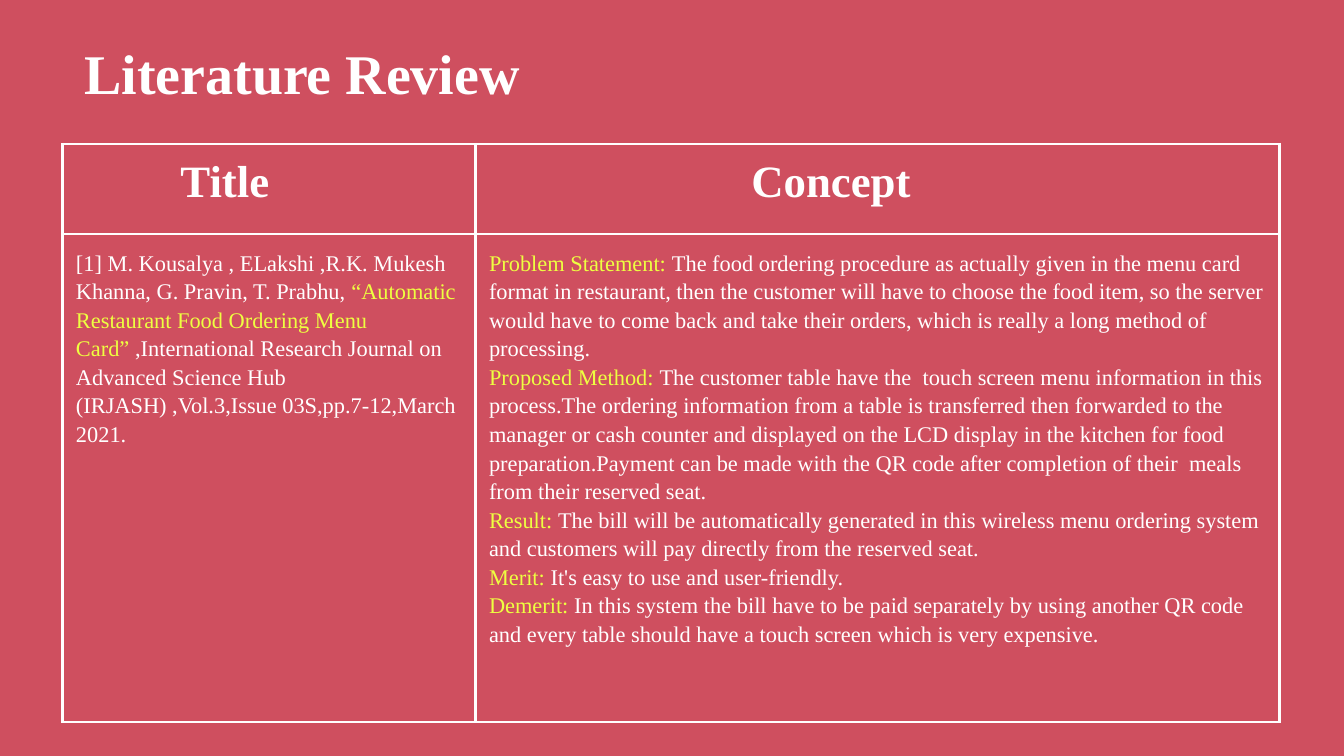
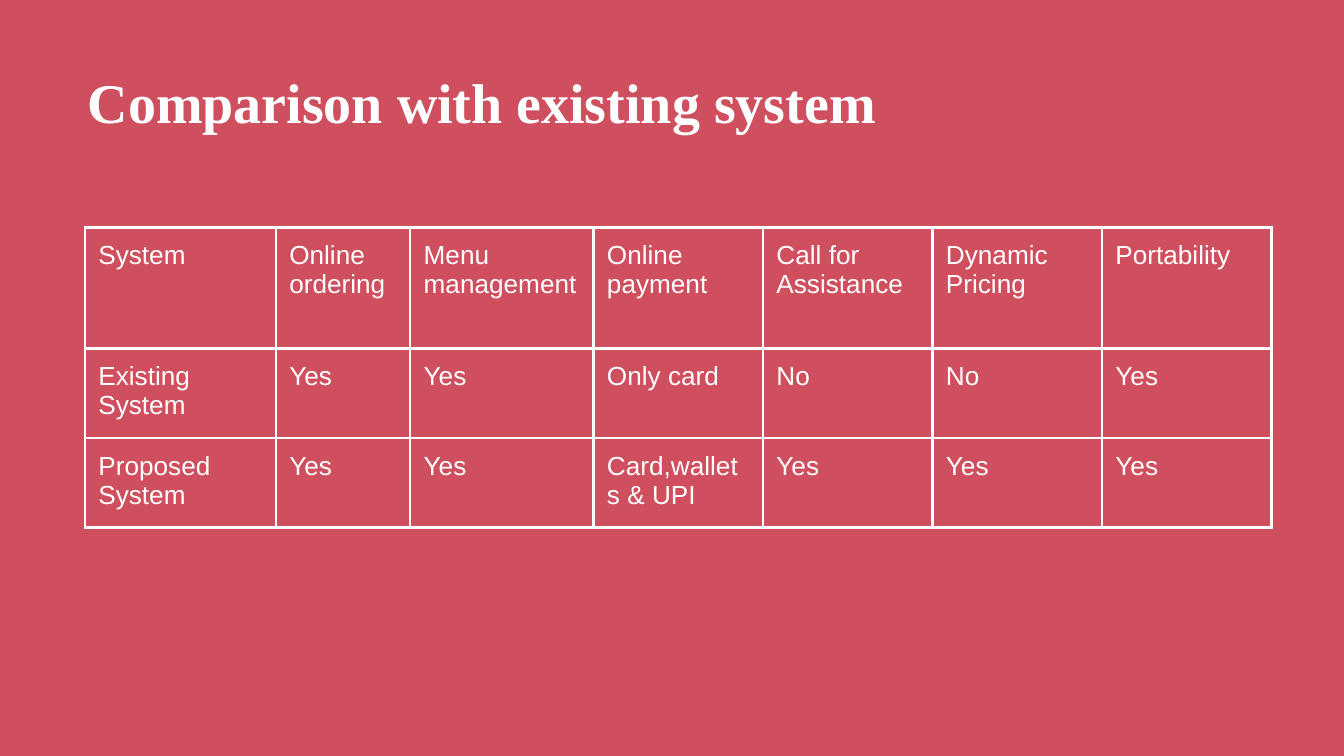
"""Builds the literature review and system comparison slides."""
from lxml.etree import SubElement
from pptx import Presentation
from pptx.dml.color import RGBColor
from pptx.enum.text import MSO_ANCHOR, MSO_AUTO_SIZE, PP_ALIGN
from pptx.oxml.ns import qn
from pptx.util import Pt

ROSE = RGBColor(0xCF, 0x4F, 0x5F)
WHITE = RGBColor(0xFF, 0xFF, 0xFF)
YELLOW = RGBColor(0xEE, 0xFF, 0x41)
SERIF = "Times New Roman"
SANS = "Arial"
PAD = Pt(7.2)


def add_titled_slide(prs, title, left, top, width, height):
    s = prs.slides.add_slide(prs.slide_layouts[5])
    sp = s.shapes.title
    sp.left, sp.top, sp.width, sp.height = Pt(left), Pt(top), Pt(width), Pt(height)
    tf = sp.text_frame
    tf.text = title
    tf.auto_size = MSO_AUTO_SIZE.NONE
    tf.vertical_anchor = MSO_ANCHOR.TOP
    tf.margin_left = tf.margin_right = tf.margin_top = tf.margin_bottom = PAD
    p = tf.paragraphs[0]
    p.alignment = PP_ALIGN.LEFT
    font = p.runs[0].font
    font.name, font.size, font.bold, font.color.rgb = SERIF, Pt(30), True, WHITE
    return s


def add_grid(s, left, top, widths, heights):
    frame = s.shapes.add_table(len(heights), len(widths), Pt(left), Pt(top),
                               Pt(sum(widths)), Pt(sum(heights)))
    table = frame.table
    table.first_row = table.horz_banding = False
    for column, width in zip(table.columns, widths):
        column.width = Pt(width)
    for row, height in zip(table.rows, heights):
        row.height = Pt(height)
    for cell in table.iter_cells():
        cell.margin_left = cell.margin_right = PAD
        cell.margin_top = cell.margin_bottom = PAD
        tcPr = cell._tc.get_or_add_tcPr()
        for side in ("a:lnL", "a:lnR", "a:lnT", "a:lnB"):
            ln = SubElement(tcPr, qn(side), w=str(Pt(1.5)))
            fill = SubElement(ln, qn("a:solidFill"))
            SubElement(fill, qn("a:srgbClr"), val=str(WHITE))
        cell.fill.background()
    return table


prs = Presentation()
prs.slide_width, prs.slide_height = Pt(720), Pt(405)
background = prs.slide_master.background.fill
background.solid()
background.fore_color.rgb = ROSE

s = add_titled_slide(prs, "Literature Review", 38, 13.7, 647, 42.5)
review = add_grid(s, 33.5, 77.2, [221.3, 430.7], [48.2, 261.5])

for column, (heading, indent) in enumerate([("Title", 63.2), ("Concept", 147.7)]):
    cell = review.cell(0, column)
    cell.margin_left = Pt(indent)
    cell.text_frame.text = heading
    font = cell.text_frame.paragraphs[0].runs[0].font
    font.name, font.size, font.bold, font.color.rgb = SERIF, Pt(24), True, WHITE

citation = [[
    ("[1] M. Kousalya , ELakshi ,R.K. Mukesh Khanna, G. Pravin, T. Prabhu, ", WHITE),
    ("“Automatic Restaurant Food Ordering Menu Card” ", YELLOW),
    (",International Research Journal on Advanced Science Hub (IRJASH) "
     ",Vol.3,Issue 03S,pp.7-12,March 2021.", WHITE),
]]
points = {
    "Problem Statement: ":
        "The food ordering procedure as actually given in the menu card format in "
        "restaurant, then the customer will have to choose the food item, so the server "
        "would have to come back and take their orders, which is really a long method "
        "of processing.",
    "Proposed Method: ":
        "The customer table have the  touch screen menu information in this process.The "
        "ordering information from a table is transferred then forwarded to the manager "
        "or cash counter and displayed on the LCD display in the kitchen for food "
        "preparation.Payment can be made with the QR code after completion of their  "
        "meals from their reserved seat.",
    "Result: ":
        "The bill will be automatically generated in this wireless menu ordering system "
        "and customers will pay directly from the reserved seat.",
    "Merit: ":
        "It's easy to use and user-friendly.",
    "Demerit: ":
        "In this system the bill have to be paid separately by using another QR code and "
        "every table should have a touch screen which is very expensive.",
}
concept = [[(label, YELLOW), (text, WHITE)] for label, text in points.items()]

for column, paragraphs in enumerate([citation, concept]):
    tf = review.cell(1, column).text_frame
    for i, parts in enumerate(paragraphs):
        p = tf.add_paragraph() if i else tf.paragraphs[0]
        p.line_spacing = 1.15
        for text, color in parts:
            r = p.add_run()
            r.text = text
            r.font.name, r.font.size, r.font.color.rgb = SERIF, Pt(12), color

s = add_titled_slide(prs, "Comparison with existing system", 39.8, 29.2, 605, 45.4)
comparison = add_grid(s, 45.5, 121.8, [102.3, 72, 98.2] + [90.8] * 4, [64.8, 48, 48])
rows = [
    ["System", "Online ordering", "Menu management", "Online payment",
     "Call for Assistance", "Dynamic Pricing", "Portability"],
    ["Existing System", "Yes", "Yes", "Only card", "No", "No", "Yes"],
    ["Proposed System", "Yes", "Yes", "Card,wallets & UPI", "Yes", "Yes", "Yes"],
]
for i, row in enumerate(rows):
    for j, text in enumerate(row):
        tf = comparison.cell(i, j).text_frame
        tf.text = text
        font = tf.paragraphs[0].runs[0].font
        font.name, font.size, font.color.rgb = SANS, Pt(14), WHITE

prs.save("out.pptx")
